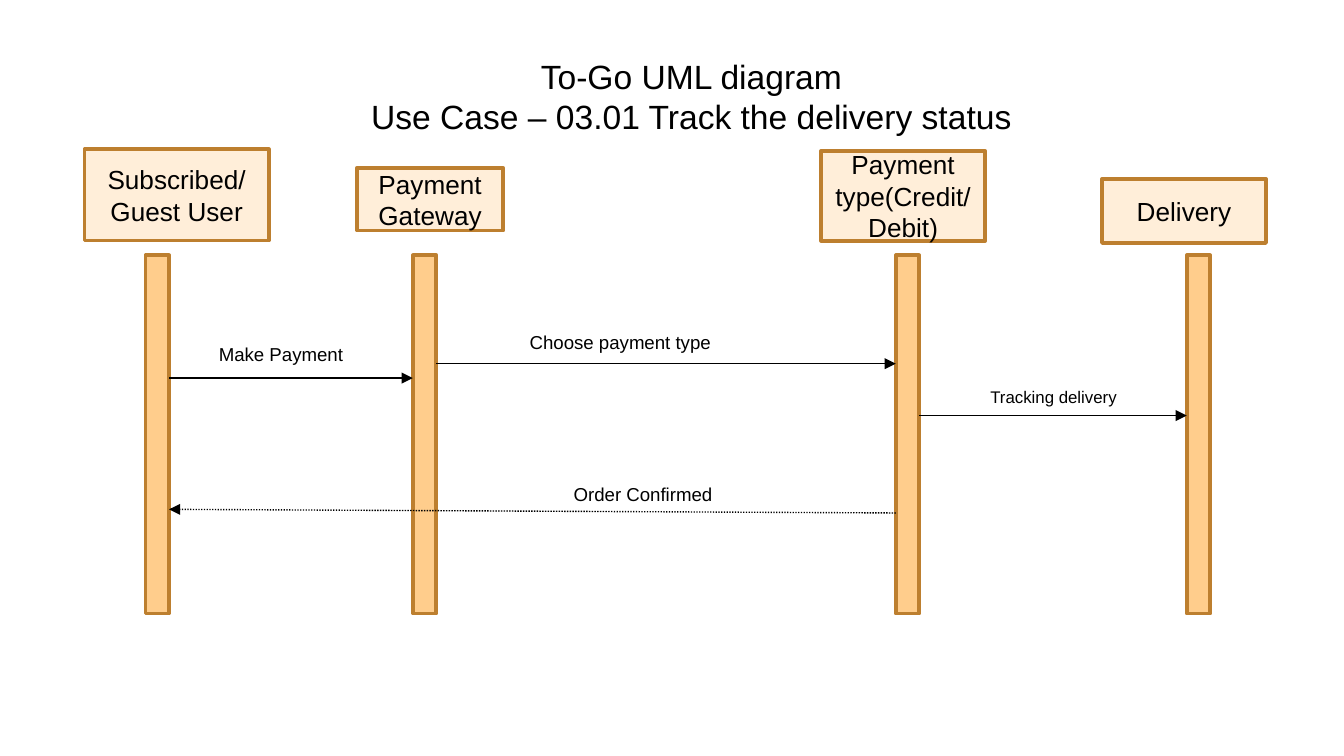
from pptx import Presentation
from pptx.dml.color import RGBColor
from pptx.enum.dml import MSO_LINE as Dash
from pptx.enum.shapes import MSO_CONNECTOR as Connector, MSO_SHAPE as Shape
from pptx.enum.text import MSO_ANCHOR as Anchor, MSO_AUTO_SIZE as AutoSize, PP_ALIGN as Align
from pptx.oxml.ns import qn
from pptx.util import Inches, Pt
from lxml.etree import SubElement

WIDTH = 10
HEIGHT = WIDTH * 9 / 16
CELL = 0.1
BLACK, EDGE, BAR, HEADER = "000000", "BD7F2F", "FFCD8C", "FFEED9"
BAR_TOP, BAR_WIDTH, BAR_HEIGHT = 19, 1.75, 26.65

TITLE = "To-Go UML diagram\vUse Case – 03.01 Track the delivery status"
PARTICIPANTS = [
    ("Subscribed/Guest User", (6.3, 11.1, 13.7, 6.8), 10.83),
    ("Payment Gateway", (26.55, 12.5, 10.9, 4.65), 30.72),
    ("Payment type(Credit/Debit)", (61.1, 11.23, 12.2, 6.7), 66.65),
    ("Delivery", (82, 13.33, 12.2, 4.75), 88.3),
]
MESSAGES = [
    ("Make Payment", 0, 1, (28.13, 28.13), (15.3, 25, 11.2, 2.7), 10, None),
    ("Choose payment type", 1, 2, (27.06, 27.06), (38.43, 24.1, 15.8, 2.7), 10, None),
    ("Tracking delivery", 2, 3, (30.92, 30.92), (72.7, 28.3, 13.9, 2.5), 9, None),
    ("Order Confirmed", 2, 0, (38.17, 37.9), (41.7, 35.45, 12.5, 2.7), 10, Dash.ROUND_DOT),
]


def grid(*cells):
    return [Inches(cell * CELL) for cell in cells]


def color(value):
    return RGBColor.from_string(value)


def apply(target, **values):
    for name, value in values.items():
        setattr(target, name, value)


def write(frame, text, size, align=Align.LEFT, **layout):
    apply(frame, word_wrap=True, **layout)
    para = frame.paragraphs[0]
    para.text = text
    para.alignment = align
    for span in para.runs:
        apply(span.font, size=Pt(size), name="Arial")
        span.font.color.rgb = color(BLACK)


def add_title(page):
    title = page.shapes.title
    left, top, width, height = grid(6.3, 3.15, 90.3, 7.1)
    apply(title, left=left, top=top, width=width, height=height)
    inset = Inches(0.1)
    write(title.text_frame, TITLE, 18, Align.CENTER,
          vertical_anchor=Anchor.TOP, auto_size=AutoSize.NONE,
          margin_left=inset, margin_top=inset, margin_right=inset, margin_bottom=inset)


def add_box(page, cells, fill):
    box = page.shapes.add_shape(Shape.RECTANGLE, *grid(*cells))
    box.shadow.inherit = False
    box.fill.solid()
    box.fill.fore_color.rgb = color(fill)
    box.line.color.rgb = color(EDGE)
    box.line.width = Pt(2)
    return box


def add_participant(page, name, cells, bar_left):
    add_box(page, (bar_left, BAR_TOP, BAR_WIDTH, BAR_HEIGHT), BAR)
    header = add_box(page, cells, HEADER)
    write(header.text_frame, name, 14, Align.CENTER, vertical_anchor=Anchor.MIDDLE)


def add_arrow(page, start, end, dash):
    arrow = page.shapes.add_connector(Connector.STRAIGHT, *grid(*start, *end))
    arrow.line.color.rgb = color(BLACK)
    apply(arrow.line, width=Pt(0.75), dash_style=dash)
    SubElement(arrow.line._get_or_add_ln(), qn("a:tailEnd"), type="triangle")
    SubElement(arrow._element.spPr, qn("a:effectLst"))


def add_message(page, text, sender, receiver, rows, cells, size, dash):
    sender_left, receiver_left = (PARTICIPANTS[index][2] for index in (sender, receiver))
    if sender < receiver:
        sender_left += BAR_WIDTH
    else:
        receiver_left += BAR_WIDTH
    add_arrow(page, (sender_left, rows[0]), (receiver_left, rows[1]), dash)
    label = page.shapes.add_textbox(*grid(*cells))
    write(label.text_frame, text, size, auto_size=AutoSize.SHAPE_TO_FIT_TEXT)


def main():
    deck = Presentation()
    apply(deck, slide_width=Inches(WIDTH), slide_height=Inches(HEIGHT))
    page = deck.slides.add_slide(deck.slide_layouts[5])
    add_title(page)
    for participant in PARTICIPANTS:
        add_participant(page, *participant)
    for message in MESSAGES:
        add_message(page, *message)
    deck.save("out.pptx")


if __name__ == "__main__":
    main()
